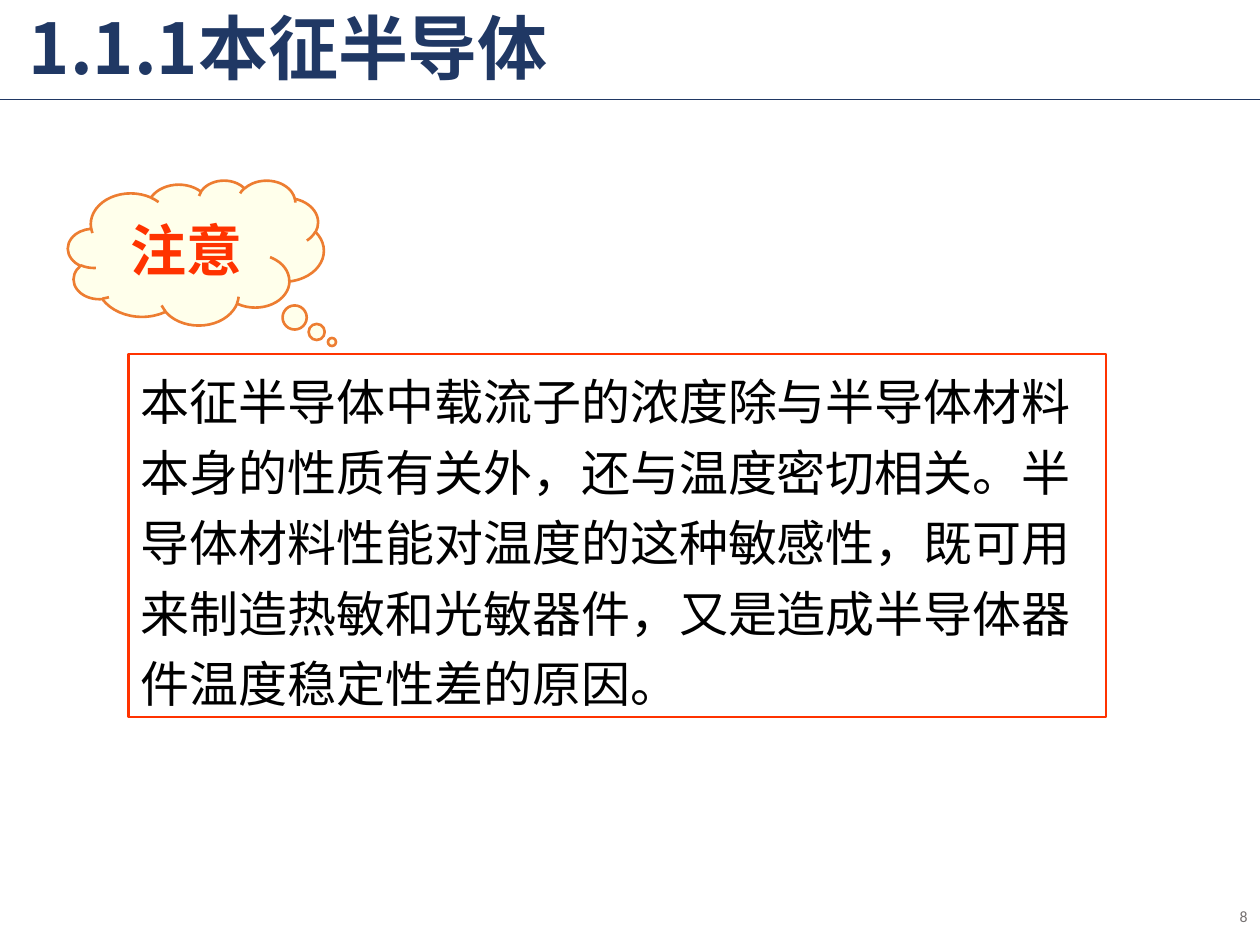
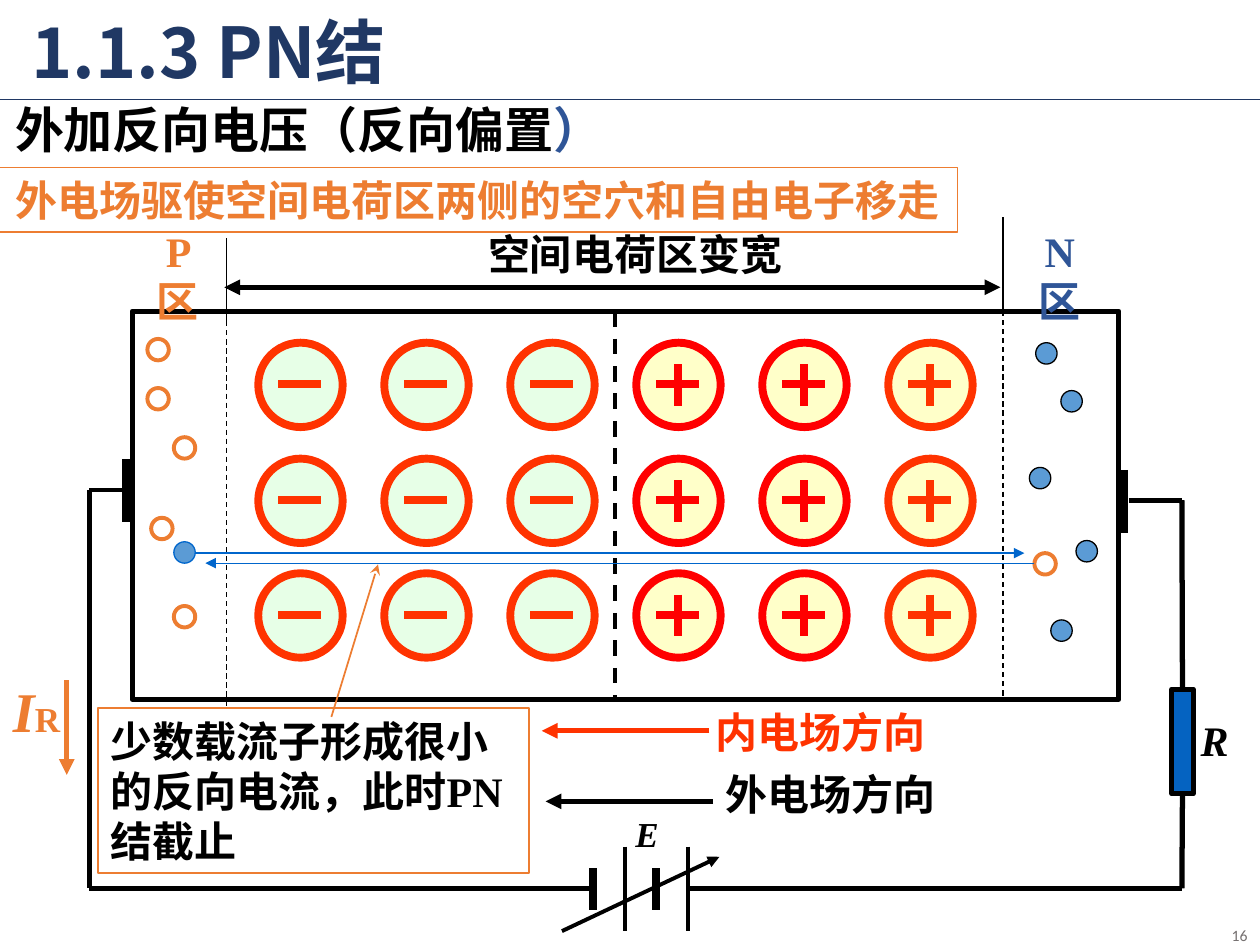
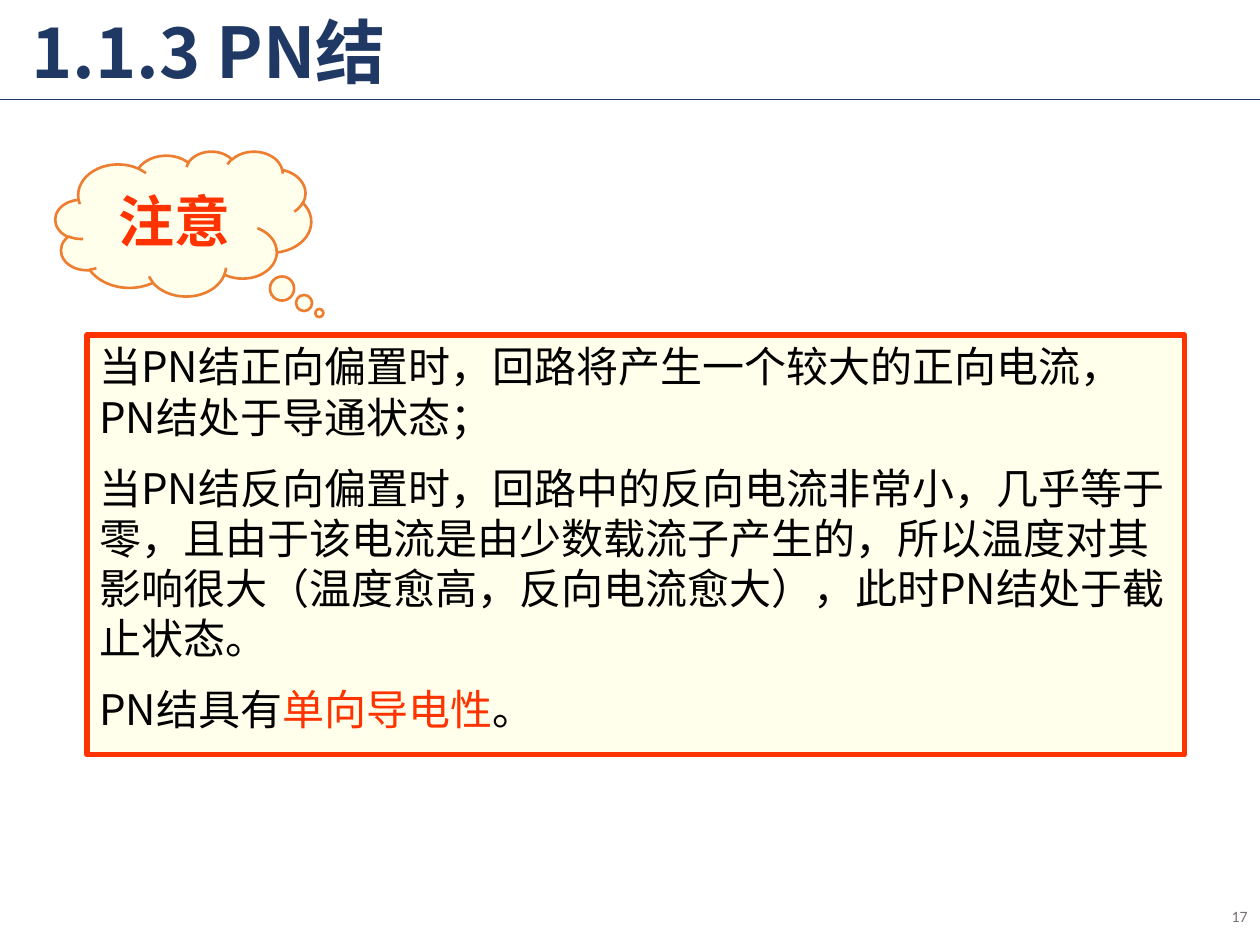
import pptx
import pptx.dml.color
import pptx.enum.dml
import pptx.enum.shapes
import pptx.enum.text
import pptx.oxml.ns
import pptx.util
from lxml import etree

PX = 9144  # 100 px to the inch
SANS, SERIF, NUMBERS = "Noto Sans CJK SC", "Times New Roman", "Calibri"
NAVY, ORANGE, RED, BRIGHT_RED = "203864", "ED7D31", "FF3300", "FF0000"
BLACK, WHITE, CREAM, GREY = "000000", "FFFFFF", "FFFFEB", "767171"
BLUE, SKY, WIRE_BLUE, DEEP_BLUE = "2F5597", "5B9BD5", "0066CC", "0563C1"
MINT, YELLOW = "E7FFE7", "FFFFC9"

rgb = pptx.dml.color.RGBColor.from_string
qn = pptx.oxml.ns.qn
Pt = pptx.util.Pt
SHAPE = pptx.enum.shapes.MSO_SHAPE
ALIGN = pptx.enum.text.PP_ALIGN
ANCHOR = pptx.enum.text.MSO_ANCHOR


def add_block(slide, kind, box, fill=None, line=None, weight=1, text=None, size=24,
              color=BLACK, font=SERIF, bold=True, italic=False, align=ALIGN.CENTER,
              anchor=ANCHOR.MIDDLE, wrap=True, leading=None, gap=0):
    """Add a preset shape, or a text box when kind is None, with optional text."""
    place = [v * PX for v in box]
    if kind is None:
        block = slide.shapes.add_textbox(*place)
    else:
        block = slide.shapes.add_shape(kind, *place)
        block.shadow.inherit = False
        if fill:
            block.fill.solid()
            block.fill.fore_color.rgb = rgb(fill)
        else:
            block.fill.background()
        block.line.color.rgb = rgb(line)
        block.line.width = Pt(weight)
    if text:
        frame = block.text_frame
        frame.text = text
        frame.word_wrap = wrap
        frame.vertical_anchor = anchor
        for index, paragraph in enumerate(frame.paragraphs):
            paragraph.alignment = align
            if leading:
                paragraph.line_spacing = Pt(leading)
            if index:
                paragraph.space_before = Pt(gap)
            paragraph.font.size = Pt(size)
            paragraph.font.bold = bold
            paragraph.font.italic = italic
            paragraph.font.color.rgb = rgb(color)
            paragraph.font.name = font
            properties = paragraph.font._element
            etree.SubElement(properties, qn("a:ea")).set("typeface", SANS)
    return block


def add_line(slide, points, color=BLACK, weight=3, arrow=None, dashed=False):
    """Add a straight connector through (x1, y1, x2, y2)."""
    connector = slide.shapes.add_connector(
        pptx.enum.shapes.MSO_CONNECTOR.STRAIGHT, *[v * PX for v in points])
    connector.line.color.rgb = rgb(color)
    connector.line.width = Pt(weight)
    if dashed:
        connector.line.dash_style = pptx.enum.dml.MSO_LINE.DASH
    properties = connector.element.spPr
    if arrow:
        etree.SubElement(properties.find(qn("a:ln")), qn("a:tailEnd")).set("type", arrow)
    etree.SubElement(properties, qn("a:effectLst"))
    return connector


presentation = pptx.Presentation()
presentation.slide_width = 1000 * PX
presentation.slide_height = 750 * PX

# Shared frame: title, rule below it, slide number
slides = []
for heading, title_box, number, number_top in [
    ("1.1.1本征半导体", (13, -21, 850, 125), "8", 707),
    ("1.1.3 PN结", (15, 9, 330, 71), "16", 722),
    ("1.1.3 PN结", (15, 9, 330, 71), "17", 707),
]:
    slide = presentation.slides.add_slide(presentation.slide_layouts[5])
    slides.append(slide)
    title = slide.shapes.title
    title.left, title.top, title.width, title.height = [v * PX for v in title_box]
    title.text_frame.text = heading
    title.text_frame.word_wrap = False
    title.text_frame.auto_size = pptx.enum.text.MSO_AUTO_SIZE.NONE
    title.text_frame.vertical_anchor = ANCHOR.MIDDLE
    paragraph = title.text_frame.paragraphs[0]
    paragraph.alignment = ALIGN.LEFT
    paragraph.line_spacing = 0.9
    paragraph.font.size = Pt(40)
    paragraph.font.bold = True
    paragraph.font.color.rgb = rgb(NAVY)
    paragraph.font.name = SANS
    etree.SubElement(paragraph.font._element, qn("a:ea")).set("typeface", SANS)
    add_line(slide, (0, 79, 1000, 79), NAVY, 1)
    add_block(slide, None, (775, number_top, 225, 40), text=number, size=9,
              color=GREY, font=NUMBERS, bold=False, align=ALIGN.RIGHT)
intrinsic, reverse_bias, conclusion = slides

# "Note" clouds on the two remark slides
for slide, left, top in [(intrinsic, 54, 143), (conclusion, 44, 120)]:
    cloud = add_block(slide, SHAPE.CLOUD_CALLOUT, (left, top, 203, 115), CREAM, ORANGE,
                      1.5, "注意", 32, RED, SANS)
    cloud.adjustments[0] = 0.532
    cloud.adjustments[1] = 0.617

# Slide 1: temperature remark
add_block(intrinsic, SHAPE.RECTANGLE, (102, 281, 776, 288), None, RED, 1.5,
          "本征半导体中载流子的浓度除与半导体材料本身的性质有关外，还与温度密切相关。"
          "半导体材料性能对温度的这种敏感性，既可用来制造热敏和光敏器件，"
          "又是造成半导体器件温度稳定性差的原因。",
          28, font=SANS, bold=False, align=ALIGN.LEFT, anchor=ANCHOR.TOP, leading=40.3)

# Slide 2: semiconductor body with its ion lattice
slide = reverse_bias
add_block(slide, SHAPE.RECTANGLE, (105, 247, 783, 308), None, BLACK, 3)
for column in range(6):
    positive = column > 2
    ion_color = BRIGHT_RED if column in (3, 4) else RED
    left = 205 + 100 * column
    for top in (272, 364, 455):
        add_block(slide, SHAPE.OVAL, (left, top, 67, 67), YELLOW if positive else MINT,
                  ion_color, 4.5)
        add_line(slide, (left + 16, top + 33, left + 50, top + 33), ion_color, 4.5)
        if positive:
            add_line(slide, (left + 33, top + 17, left + 33, top + 50), ion_color, 4.5)
add_line(slide, (488, 247, 488, 555), weight=2.25, dashed=True)

# Space charge region and its width
for x, top, joint, bottom in [(180, 189, 255, 564), (796, 172, 247, 555)]:
    add_line(slide, (x, joint, x, top), weight=0.75)
    add_line(slide, (x, joint, x, bottom), weight=0.75, dashed=True)
for tip in (178, 794):
    add_line(slide, (494, 228, tip, 228), arrow="triangle")
add_block(slide, None, (375, 176, 258, 50), text="空间电荷区变宽")
for label, left, color in [("P 区", 99, ORANGE), ("N 区", 799, BLUE)]:
    region = add_block(slide, None, (left, 194, 84, 50), text=label, color=color,
                       leading=28.6)
    region.text_frame.margin_left = region.text_frame.margin_right = 16 * PX

# Majority carriers: holes on the P side, electrons on the N side
for left, top in [(117, 269), (117, 308), (138, 347), (120, 411), (138, 481)]:
    add_block(slide, SHAPE.OVAL, (left, top, 17, 17), WHITE, ORANGE, 2.25)
for left, top in [(822, 272), (842, 310), (817, 371), (854, 429), (834, 492)]:
    add_block(slide, SHAPE.OVAL, (left, top, 17, 17), SKY, BLACK, 0.75)

# Minority carriers drifting across the junction
add_block(slide, SHAPE.OVAL, (138, 430, 17, 17), SKY, WIRE_BLUE, 0.75)
add_line(slide, (155, 439, 813, 439), WIRE_BLUE, 0.75, "triangle")
add_block(slide, SHAPE.OVAL, (821, 439, 17, 17), None, ORANGE, 2.25)
add_line(slide, (821, 447, 163, 447), WIRE_BLUE, 0.75, "triangle")

# Circuit: contacts, wires, resistor
for x, top in [(101, 364), (891, 373)]:
    add_line(slide, (x, top, x, top + 50), weight=6)
resistor = add_block(slide, SHAPE.RECTANGLE, (930, 547, 17, 83), DEEP_BLUE, BLACK, 3)
add_line(slide, (938, 397, 938, 547)).end_connect(resistor, 0)
add_line(slide, (938, 630, 938, 705)).begin_connect(resistor, 2)
add_line(slide, (105, 389, 71, 389), weight=2.25)
for wire in [(896, 397, 938, 397), (938, 705, 546, 705),
             (71, 389, 71, 705), (471, 705, 71, 705)]:
    add_line(slide, wire)
add_block(slide, None, (943, 562, 42, 50), text="R", italic=True, wrap=False)

# Adjustable battery
for x in (471, 521):
    add_line(slide, (x, 689, x, 722), weight=4.5)
    add_line(slide, (x + 25, 672, x + 25, 739), weight=2.25)
add_line(slide, (446, 739, 571, 680), weight=2.25, arrow="triangle")
add_block(slide, None, (494, 640, 39, 43), text="E", size=20, italic=True, wrap=False)

# Field directions
for label, box, arrow_line, color in [
    ("内电场方向", (530, 556, 242, 50), (563, 580, 430, 580), RED),
    ("外电场方向", (531, 605, 257, 50), (566, 636, 433, 636), BLACK),
]:
    add_block(slide, None, box, text=label, color=color)
    add_line(slide, arrow_line, color, arrow="triangle")

# Reverse current
current = add_block(slide, None, (0, 532, 58, 63), text="I", size=32, color=ORANGE,
                    wrap=False)
current.text_frame.paragraphs[0].runs[0].font.italic = True
subscript = current.text_frame.paragraphs[0].add_run()
subscript.text = "R"
subscript.font.size = Pt(20)
add_line(slide, (53, 540, 53, 615), ORANGE, arrow="triangle")

# Headings and explanation
bias = add_block(slide, None, (-2, 74, 494, 57), text="外加反向电压（反向偏置", size=28,
                 wrap=False)
bracket = bias.text_frame.paragraphs[0].add_run()
bracket.text = "）"
bracket.font.color.rgb = rgb(BLUE)
bracket.font.name = SANS
add_block(slide, SHAPE.RECTANGLE, (-2, 133, 762, 51), None, ORANGE, 1,
          "外电场驱使空间电荷区两侧的空穴和自由电子移走", color=ORANGE, wrap=False)
add_block(slide, SHAPE.RECTANGLE, (78, 562, 342, 131), WHITE, ORANGE, 1,
          "少数载流子形成很小的反向电流，此时PN结截止", align=ALIGN.LEFT, leading=28.6)
add_line(slide, (263, 569, 300, 448), ORANGE, 1, "stealth")

# Slide 3: one-way conduction
summary = add_block(
    conclusion, SHAPE.RECTANGLE, (69, 266, 871, 333), CREAM, RED, 3,
    "当PN结正向偏置时，回路将产生一个较大的正向电流，PN结处于导通状态；\n"
    "当PN结反向偏置时，回路中的反向电流非常小，几乎等于零，"
    "且由于该电流是由少数载流子产生的，所以温度对其影响很大"
    "（温度愈高，反向电流愈大），此时PN结处于截止状态。\n"
    "PN结具有",
    font=SANS, bold=False, align=ALIGN.LEFT, anchor=ANCHOR.TOP, leading=28.6, gap=12)
for words, color in [("单向导电性", RED), ("。", BLACK)]:
    run = summary.text_frame.paragraphs[2].add_run()
    run.text = words
    run.font.color.rgb = rgb(color)

presentation.save("out.pptx")
